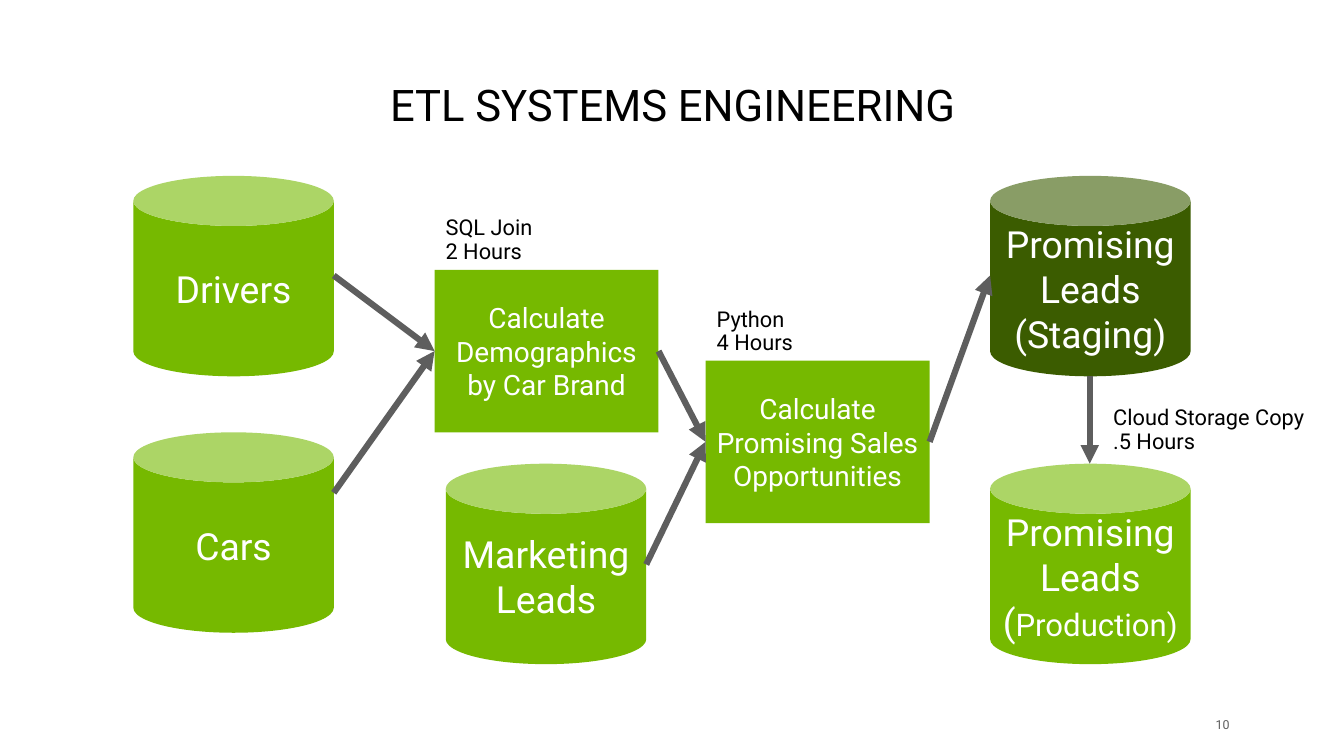
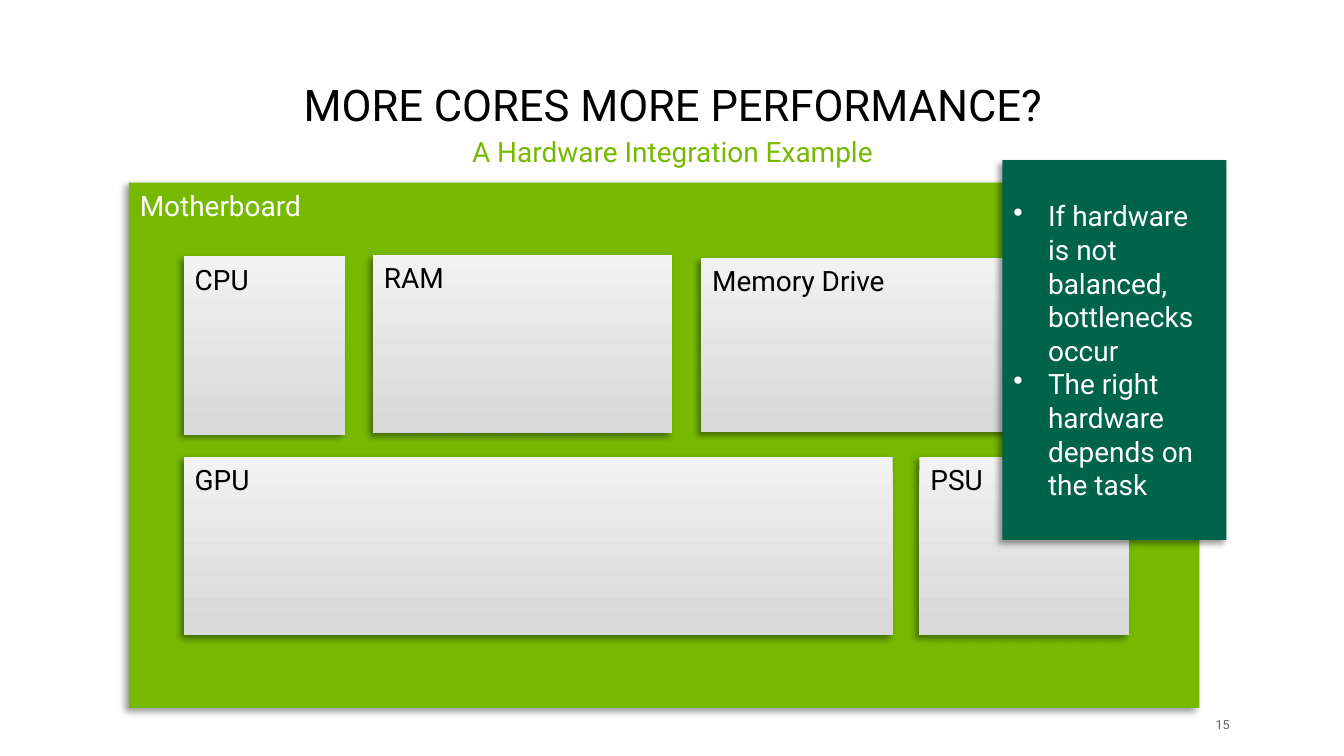
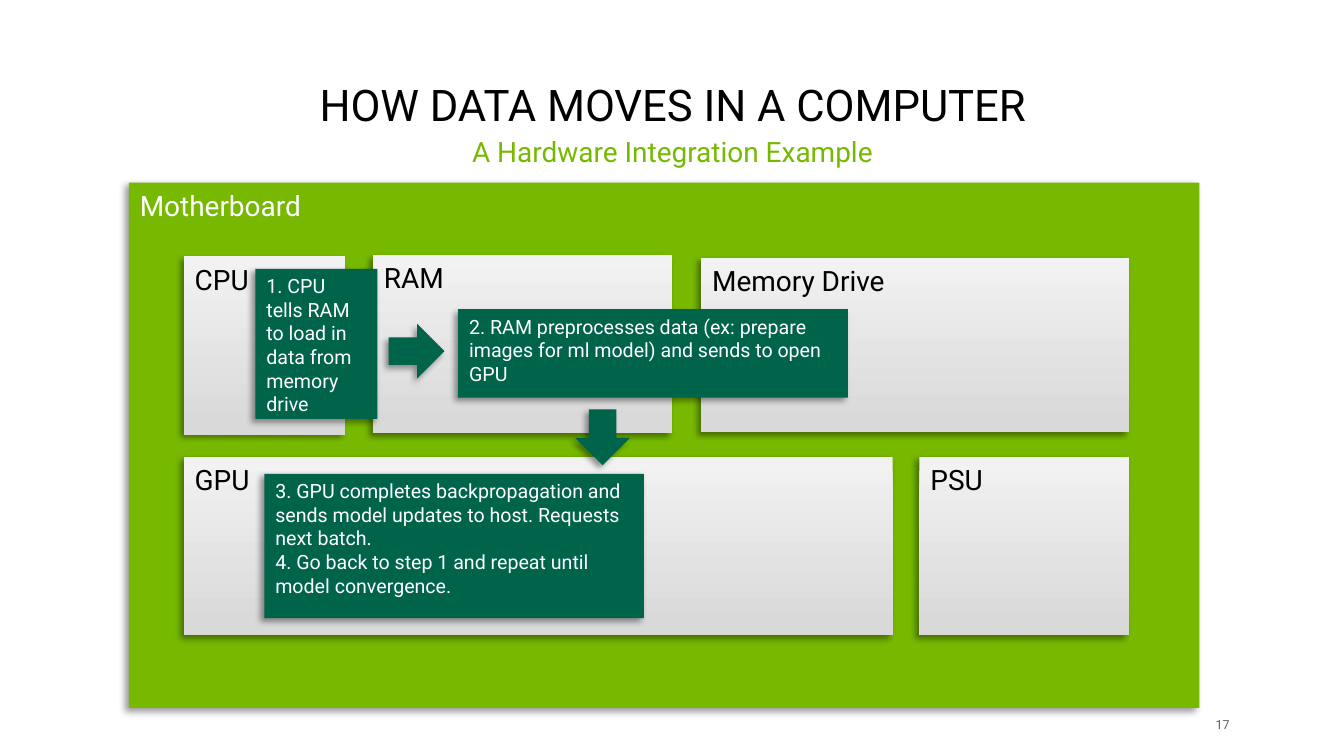
"""Build three slides on data pipelines and hardware integration."""
from dataclasses import dataclass
from typing import Any

from lxml.etree import SubElement
from pptx import Presentation
from pptx.dml.color import RGBColor
from pptx.enum.shapes import MSO_CONNECTOR, MSO_SHAPE
from pptx.enum.text import MSO_ANCHOR, MSO_AUTO_SIZE, PP_ALIGN
from pptx.oxml.ns import qn
from pptx.util import Inches, Pt

COLORS = {
    "black": "000000",
    "white": "FFFFFF",
    "green": "76B900",
    "dark green": "3B5C00",
    "teal": "00644B",
    "gray": "5E5E5E",
    "light": "F2F2F2",
    "silver": "D9D9D9",
}
FONT = "Roboto"
CAN_SIZE = 1.79
TASK_WIDTH, TASK_HEIGHT = 2, 1.45
TOP, LEFT, BOTTOM, RIGHT = range(4)


@dataclass(frozen=True)
class Words:
    """Paragraphs of text with one shared look."""

    lines: tuple[str, ...]
    size: float = 18
    color: str = "white"
    align: Any = PP_ALIGN.LEFT
    anchor: Any = MSO_ANCHOR.TOP
    spacing: float = 1
    bullet: bool = False


@dataclass(frozen=True)
class Box:
    """A filled preset shape and its place in inches."""

    left: float
    top: float
    width: float
    height: float
    fill: str = "teal"
    words: Words | None = None
    kind: Any = MSO_SHAPE.RECTANGLE
    shadow: bool = True
    rotation: float = 0


@dataclass(frozen=True)
class Arrow:
    """A straight arrow, optionally joined to rectangles by name and side."""

    start: tuple[float, float]
    end: tuple[float, float]
    source: tuple[str, int] | None = None
    target: tuple[str, int] | None = None


def rgb(name: str) -> RGBColor:
    """Look up a named colour."""
    return RGBColor.from_string(COLORS[name])


def apply(target: Any, formats: dict[str, Any]) -> None:
    """Set each format value on the target."""
    for name, value in formats.items():
        setattr(target, name, value)


def place(shape: Any, left: float, top: float, width: float, height: float) -> None:
    """Move and size a shape in inches."""
    apply(shape, {"left": Inches(left), "top": Inches(top),
                  "width": Inches(width), "height": Inches(height)})


def add_span(para: Any, text: str, size: float, color: str) -> None:
    """Add a formatted run to a paragraph."""
    span = para.add_run()
    span.text = text
    apply(span.font, {"name": FONT, "size": Pt(size), "bold": False})
    span.font.color.rgb = rgb(color)


def add_bullet(para: Any) -> None:
    """Give a paragraph a hanging bullet."""
    properties = para._p.get_or_add_pPr()
    properties.set("marL", str(Inches(0.31)))
    properties.set("indent", str(-Inches(0.31)))
    SubElement(properties, qn("a:buChar"), char="•")


def write(shape: Any, words: Words) -> None:
    """Fill a shape's text frame."""
    frame = shape.text_frame
    apply(frame, {"word_wrap": True, "auto_size": MSO_AUTO_SIZE.NONE,
                  "vertical_anchor": words.anchor})
    for index, line in enumerate(words.lines):
        para = frame.paragraphs[0] if index == 0 else frame.add_paragraph()
        if words.bullet:
            add_bullet(para)
        apply(para, {"alignment": words.align, "line_spacing": words.spacing})
        add_span(para, line, words.size, words.color)


def add_text(page: Any, place_at: tuple[float, float, float, float], words: Words) -> Any:
    """Add a text box."""
    box = page.shapes.add_textbox(*map(Inches, place_at))
    write(box, words)
    return box


def add_shadow(shape: Any) -> None:
    """Cast a soft shadow to the lower left."""
    effects = shape._element.spPr.find(qn("a:effectLst"))
    shadow = SubElement(effects, qn("a:outerShdw"), blurRad=str(Pt(4)), dist=str(Pt(3)),
                        dir="8100000", algn="tr", rotWithShape="0")
    color = SubElement(shadow, qn("a:srgbClr"), val=COLORS["black"])
    SubElement(color, qn("a:alpha"), val="40000")


def add_box(page: Any, box: Box) -> Any:
    """Draw a box, with a gradient when its fill is silver."""
    shape = page.shapes.add_shape(
        box.kind, *map(Inches, (box.left, box.top, box.width, box.height)))
    shape.rotation = box.rotation
    shape.line.fill.background()
    if box.fill == "silver":
        shape.fill.gradient()
        shape.fill.gradient_angle = 270
        for stop, name, position in zip(shape.fill.gradient_stops, ("light", "silver"), (0, 0.95)):
            stop.color.rgb = rgb(name)
            stop.position = position
    else:
        shape.fill.solid()
        shape.fill.fore_color.rgb = rgb(box.fill)
    shape.shadow.inherit = False
    if box.shadow:
        add_shadow(shape)
    if box.words:
        write(shape, box.words)
    return shape


def add_arrow(page: Any, arrow: Arrow, tasks: dict[str, Any]) -> None:
    """Draw an arrow and join its ends to tasks."""
    line = page.shapes.add_connector(
        MSO_CONNECTOR.STRAIGHT, *map(Inches, arrow.start + arrow.end))
    if arrow.source:
        line.begin_connect(tasks[arrow.source[0]], arrow.source[1])
    if arrow.target:
        line.end_connect(tasks[arrow.target[0]], arrow.target[1])
    line.line.width = Pt(4)
    line.line.color.rgb = rgb("gray")
    SubElement(line.line._get_or_add_ln(), qn("a:tailEnd"), type="triangle")
    SubElement(line._element.spPr, qn("a:effectLst"))


def add_page(deck: Any, title: str, number: int) -> Any:
    """Add a slide with its title and page number."""
    page = deck.slides.add_slide(deck.slide_layouts[5])
    place(page.shapes.title, 0.55, 0.57, 10.91, 0.65)
    write(page.shapes.title, Words((title,), 28, "black", PP_ALIGN.CENTER, MSO_ANCHOR.BOTTOM, 0.9))
    footer = add_text(page, (10.63, 6.38, 0.35, 0.18),
                      Words((str(number),), 8, "gray", PP_ALIGN.RIGHT, MSO_ANCHOR.MIDDLE))
    apply(footer.text_frame, dict.fromkeys(
        ("margin_left", "margin_top", "margin_right", "margin_bottom"), 0))
    return page


def centered(text: str, size: float) -> Words:
    """Return white text in the middle of its shape."""
    return Words((text,), size, align=PP_ALIGN.CENTER, anchor=MSO_ANCHOR.MIDDLE)


def add_can(page: Any, text: str, left: float, top: float, fill: str = "green") -> Any:
    """Draw a data store."""
    return add_box(page, Box(left, top, CAN_SIZE, CAN_SIZE, fill, centered(text, 24),
                             MSO_SHAPE.CAN, shadow=False))


def build_pipeline(deck: Any) -> None:
    """Draw the pipeline from sources to production."""
    page = add_page(deck, "ETL SYSTEMS ENGINEERING", 10)
    for text, left, top, fill in (
        ("Drivers", 1.19, 1.57, "green"),
        ("Cars", 1.19, 3.86, "green"),
        ("Marketing Leads", 3.98, 4.14, "green"),
        ("Promising Leads (Staging)", 8.84, 1.57, "dark green"),
    ):
        add_can(page, text, left, top, fill)
    production = add_can(page, "Promising Leads (", 8.84, 4.14)
    apply(production.text_frame, {"margin_left": 0, "margin_right": 0})
    add_span(production.text_frame.paragraphs[0], "Production)", 20, "white")

    tasks = {
        name: add_box(page, Box(left, top, TASK_WIDTH, TASK_HEIGHT, "green",
                                centered(text, 18), shadow=False))
        for name, text, left, top in (
            ("demographics", "Calculate Demographics by Car Brand", 3.88, 2.41),
            ("opportunities", "Calculate Promising Sales Opportunities", 6.3, 3.22),
        )
    }
    into_demographics = ("demographics", LEFT)
    into_opportunities = ("opportunities", LEFT)
    for arrow in (
        Arrow((2.98, 2.46), (3.88, 3.13), target=into_demographics),
        Arrow((2.98, 4.4), (3.88, 3.13), target=into_demographics),
        Arrow((5.77, 5.04), (6.3, 3.95), target=into_opportunities),
        Arrow((5.88, 3.13), (6.3, 3.95), ("demographics", RIGHT), into_opportunities),
        Arrow((8.3, 3.95), (8.84, 2.46), source=("opportunities", RIGHT)),
        Arrow((9.73, 3.36), (9.73, 4.14)),
    ):
        add_arrow(page, arrow, tasks)
    for lines, left, top, width in (
        (("SQL Join", "2 Hours"), 3.88, 1.88, 1.79),
        (("Python", "4 Hours"), 6.3, 2.7, 1.79),
        (("Cloud Storage Copy", ".5 Hours"), 9.84, 3.58, 2.16),
    ):
        add_text(page, (left, top, width, 0.53),
                 Words(lines, 14, "black", anchor=MSO_ANCHOR.MIDDLE, spacing=0.9))


def add_hardware_page(deck: Any, title: str, number: int) -> Any:
    """Add a slide showing the motherboard and its parts."""
    page = add_page(deck, title, number)
    add_text(page, (0.55, 1.19, 10.91, 0.57),
             Words(("A Hardware Integration Example",), 18, "green", PP_ALIGN.CENTER, spacing=0.9))
    add_box(page, Box(1.15, 1.63, 9.56, 4.69, "green", Words(("Motherboard",))))
    for name, left, top, width, height in (
        ("CPU", 1.64, 2.29, 1.44, 1.59),
        ("GPU", 1.64, 4.08, 6.33, 1.59),
        ("RAM", 3.33, 2.28, 2.67, 1.59),
        ("Memory Drive", 6.26, 2.3, 3.82, 1.56),
        ("PSU", 8.21, 4.08, 1.87, 1.59),
    ):
        add_box(page, Box(left, top, width, height, "silver", Words((name,), color="black")))
    return page


def build_performance(deck: Any) -> None:
    """Draw the hardware with a note on bottlenecks."""
    page = add_hardware_page(deck, "MORE CORES MORE PERFORMANCE?", 15)
    notes = ("If hardware is not balanced, bottlenecks occur",
             "The right hardware depends on the task")
    add_box(page, Box(8.95, 1.43, 2, 3.39,
                      words=Words(notes, anchor=MSO_ANCHOR.MIDDLE, bullet=True)))


def build_data_moves(deck: Any) -> None:
    """Draw the hardware with the steps data takes."""
    page = add_hardware_page(deck, "HOW DATA MOVES IN A COMPUTER", 17)
    for lines, left, top, width, height in (
        (("1. CPU tells RAM to load in data from memory drive",), 2.28, 2.4, 1.09, 1.34),
        (("2. RAM preprocesses data (ex: prepare images for ml model) and sends to open GPU",),
         4.09, 2.76, 3.48, 0.79),
        (("3. GPU completes backpropagation and sends model updates to host. Requests next batch.",
          "4. Go back to step 1 and repeat until model convergence."), 2.36, 4.23, 3.39, 1.29),
    ):
        add_box(page, Box(left, top, width, height, words=Words(lines, 12.6)))
    for left, top, rotation in ((3.47, 2.89, 0), (5.13, 3.66, 90)):
        add_box(page, Box(left, top, 0.5, 0.49, kind=MSO_SHAPE.RIGHT_ARROW, rotation=rotation))


def main() -> None:
    """Build and save the deck."""
    deck = Presentation()
    apply(deck, {"slide_width": Inches(12), "slide_height": Inches(6.75)})
    build_pipeline(deck)
    build_performance(deck)
    build_data_moves(deck)
    deck.save("out.pptx")


if __name__ == "__main__":
    main()
